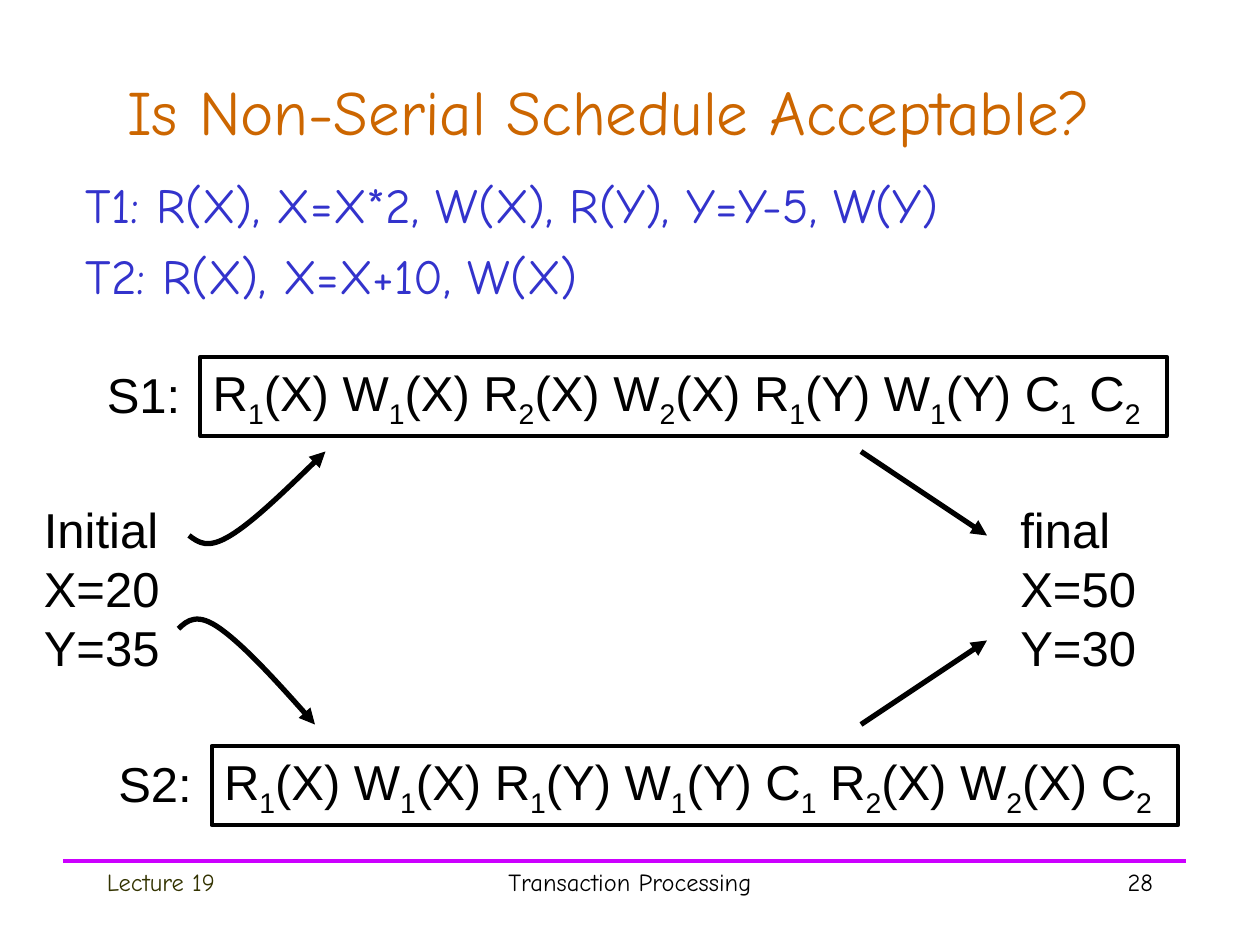
from dataclasses import dataclass
from itertools import groupby

from lxml import etree
from pptx import Presentation
from pptx.dml.color import RGBColor
from pptx.enum.shapes import MSO_CONNECTOR, MSO_SHAPE
from pptx.enum.text import MSO_ANCHOR, PP_ALIGN
from pptx.oxml.ns import qn
from pptx.util import Pt

STRAIGHT = MSO_CONNECTOR.STRAIGHT
RECTANGLE = MSO_SHAPE.RECTANGLE
TOP, MIDDLE = MSO_ANCHOR.TOP, MSO_ANCHOR.MIDDLE
LEFT, CENTER, RIGHT = PP_ALIGN.LEFT, PP_ALIGN.CENTER, PP_ALIGN.RIGHT


@dataclass(frozen=True)
class Theme:
    heading_font: str = "Comic Neue"
    diagram_font: str = "Arial"
    title_size: float = 36
    body_size: float = 28
    footer_size: float = 14
    title: RGBColor = RGBColor(0xCC, 0x66, 0x00)
    body: RGBColor = RGBColor(0x33, 0x33, 0xCC)
    ink: RGBColor = RGBColor(0x00, 0x00, 0x00)
    rule: RGBColor = RGBColor(0xCC, 0x00, 0xFF)
    lecture: RGBColor = RGBColor(0x33, 0x33, 0x00)
    thin: float = 2.25
    thick: float = 3


THEME = Theme()


def style_font(font, name, size, color):
    font.name = name
    font.size = Pt(size)
    font.color.rgb = color


def add_text(slide, box, lines, name, size, color, align=LEFT, anchor=TOP,
             wrap=True, gap=0):
    """Text box with one paragraph per line and a gap between paragraphs."""
    frame = slide.shapes.add_textbox(*map(Pt, box)).text_frame
    frame.word_wrap = wrap
    frame.vertical_anchor = anchor
    frame.text = "\n".join(lines)
    for index, paragraph in enumerate(frame.paragraphs):
        paragraph.alignment = align
        if index and gap:
            paragraph.space_before = Pt(gap)
        for run in paragraph.runs:
            style_font(run.font, name, size, color)


def add_diagram_text(slide, box, lines):
    add_text(slide, box, lines, THEME.diagram_font, THEME.body_size, THEME.ink,
             wrap=False)


def add_schedule(slide, left, top, label, operations):
    """Label and framed schedule; every digit in the schedule is a subscript."""
    add_diagram_text(slide, (left, top + 0.7, 56.2, 41), [label])
    shape = slide.shapes.add_shape(RECTANGLE, Pt(left + 60.5), Pt(top),
                                   Pt(552.2), Pt(45.4))
    shape.shadow.inherit = False
    shape.fill.background()
    shape.line.color.rgb = THEME.ink
    shape.line.width = Pt(THEME.thin)
    frame = shape.text_frame
    frame.word_wrap = True
    frame.vertical_anchor = TOP
    paragraph = frame.paragraphs[0]
    paragraph.alignment = LEFT
    for is_subscript, characters in groupby(operations, str.isdigit):
        run = paragraph.add_run()
        run.text = "".join(characters)
        style_font(run.font, THEME.diagram_font, THEME.body_size, THEME.ink)
        if is_subscript:
            run.font._element.set("baseline", "-25000")


def style_line(shape, color, width, arrow=False):
    shape.line.color.rgb = color
    shape.line.width = Pt(width)
    if arrow:
        line = shape.line._get_or_add_ln()
        etree.SubElement(line, qn("a:tailEnd"), type="triangle")


def add_line(slide, start, end, color, width, arrow=False):
    connector = slide.shapes.add_connector(STRAIGHT, *map(Pt, start + end))
    style_line(connector, color, width, arrow)
    etree.SubElement(connector._element.spPr, qn("a:effectLst"))


def add_curved_arrow(slide, points):
    """Arrow along Bezier segments: a start, then three points per segment."""
    start, *rest = [(Pt(x), Pt(y)) for x, y in points]
    builder = slide.shapes.build_freeform(*start)
    builder.add_line_segments(rest, close=False)
    shape = builder.convert_to_shape()
    shape.shadow.inherit = False
    shape.fill.background()
    style_line(shape, THEME.ink, THEME.thick, arrow=True)

    # Join each three straight segments into one cubic segment
    segments = list(shape._element.iter(qn("a:lnTo")))
    for first in range(0, len(segments), 3):
        group = segments[first:first + 3]
        curve = etree.Element(qn("a:cubicBezTo"))
        group[0].addprevious(curve)
        for segment in group:
            curve.append(segment[0])
            segment.getparent().remove(segment)


def add_footer(slide, left, width, text, color, align):
    add_text(slide, (left, 492, width, 36), [text], THEME.heading_font,
             THEME.footer_size, color, align)


def main():
    presentation = Presentation()
    presentation.slide_width, presentation.slide_height = Pt(720), Pt(540)
    slide = presentation.slides.add_slide(presentation.slide_layouts[6])

    # Footer rule
    add_line(slide, (36, 492), (678, 492), THEME.rule, THEME.thin)

    # Title and transactions
    add_text(slide, (30, 30, 648, 66), ["Is Non-Serial Schedule Acceptable? "],
             THEME.heading_font, THEME.title_size, THEME.title, CENTER, MIDDLE)
    add_text(slide, (42, 96, 636, 81),
             ["T1: R(X), X=X*2, W(X), R(Y), Y=Y-5, W(Y)",
              "T2: R(X), X=X+10, W(X)"],
             THEME.heading_font, THEME.body_size, THEME.body, gap=7)

    # Initial and final states
    add_diagram_text(slide, (18, 282, 80.6, 108), ["Initial", "X=20", "Y=35"])
    add_diagram_text(slide, (576, 282, 80.6, 108), ["final", "X=50", "Y=30"])

    # Schedules
    add_schedule(slide, 54, 203.8, "S1:",
                 "R1(X) W1(X) R2(X) W2(X) R1(Y) W1(Y) C1 C2")
    add_schedule(slide, 60.5, 426.2, "S2:",
                 "R1(X) W1(X) R1(Y) W1(Y) C1 R2(X) W2(X) C2")

    # Arrows from the initial state to the schedules
    add_curved_arrow(slide, [(108, 306), (113.8, 310.3), (118.8, 313.9),
                             (131.8, 306), (144.7, 298.1), (165.6, 277.9),
                             (186, 258)])
    add_curved_arrow(slide, [(102, 359.3), (107.3, 354.2), (113, 349.9),
                             (126, 359.3), (139, 368.6), (159.8, 391),
                             (180, 414)])

    # Arrows from the schedules to the final state
    for start_y, end_y in ((258, 306), (414, 366)):
        add_line(slide, (492, start_y), (564, end_y), THEME.ink, THEME.thick,
                 arrow=True)

    # Footer
    add_footer(slide, 246, 228, "Transaction Processing", THEME.ink, CENTER)
    add_footer(slide, 516, 150, "28", THEME.ink, RIGHT)
    add_footer(slide, 54, 150, "Lecture 19", THEME.lecture, LEFT)

    presentation.save("out.pptx")


if __name__ == "__main__":
    main()
